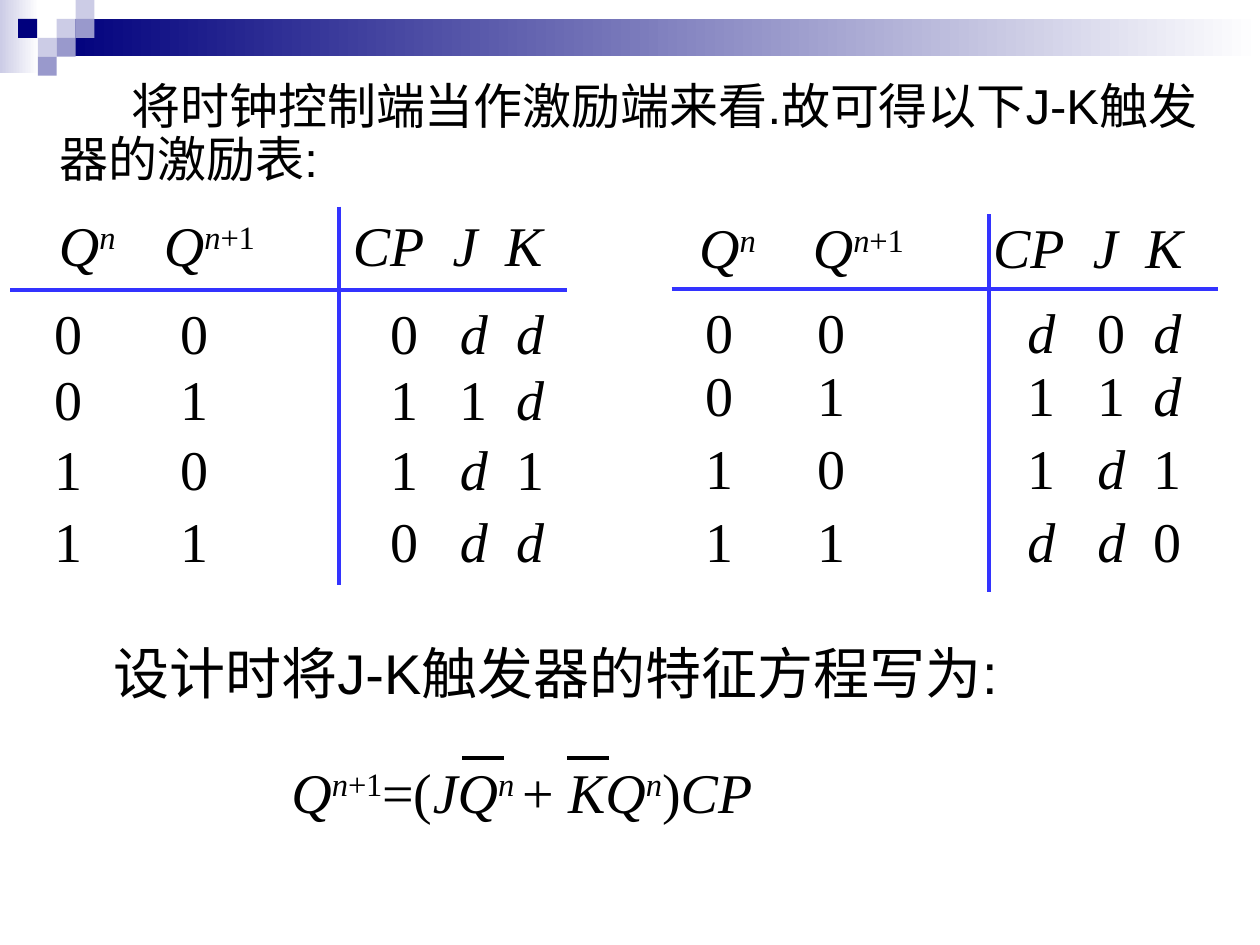
from lxml import etree
from pptx import Presentation
from pptx.dml.color import RGBColor
from pptx.enum.shapes import MSO_CONNECTOR, MSO_SHAPE
from pptx.oxml.ns import qn
from pptx.util import Pt

STRAIGHT = MSO_CONNECTOR.STRAIGHT
RECTANGLE = MSO_SHAPE.RECTANGLE
SANS, SERIF = "Arial", "Times New Roman"
BLACK, BLUE, NAVY = "000000", "3333FF", "00007D"
LAVENDER, VIOLET, WHITE = "CCCCE6", "9999CC", "FFFFFF"

# Header decoration: left, top, width, height, colours (two make a gradient)
TILE = 10.8
DECORATION = [
    (0, 0, 22.3, 41.8, (WHITE, LAVENDER)),
    (32.4, 10.8, 687.6, 21.4, (WHITE, NAVY)),
] + [
    (left, top, TILE, TILE, (color,))
    for left, top, color in [
        (32.4, 10.8, LAVENDER), (43.2, 0, LAVENDER), (43.2, 10.8, VIOLET),
        (21.6, 21.6, LAVENDER), (10.4, 10.8, NAVY), (32.4, 21.6, VIOLET),
        (21.6, 32.4, VIOLET),
    ]
]

INTRO = "将时钟控制端当作激励端来看.故可得以下J-K触发器的激励表:"
DESIGN = "设计时将J-K触发器的特征方程写为:"

# Runs are (text, style): i = italic, s = superscript
Q_NOW = [("Q", "i"), ("n", "is")]
Q_NEXT = [("Q", "i"), ("n", "is"), ("+1", "s")]
HEADINGS = [Q_NOW, Q_NEXT, [("CP", "i")], [("J", "i")], [("K", "i")]]
EQUATION = Q_NEXT + [("=(", ""), ("JQ", "i"), ("n ", "is"), ("+ ", ""),
                     ("KQ", "i"), ("n", "is"), (")", ""), ("CP", "i")]
OVERLINES = [(264.2, 288), (324, 347.8)]
OVERLINE_TOP = 433.4

# Excitation tables: Q now, Q next, CP, J, K
TABLES = [
    {
        "heading": (26.6, 116.6, [60, 168, 225, 255]),
        "left": 23.8, "tops": [167, 204.5, 244.8, 285.8],
        "tabs": [72, 192, 232, 264],
        "rows": ["000dd", "0111d", "101d1", "110dd"],
        "across": (5.8, 324, 165.6), "down": (193.7, 118.1, 334.1),
    },
    {
        "heading": (392.4, 118.1, [65, 168, 225, 255]),
        "left": 396, "tops": [166.3, 202.3, 244.1, 285.8],
        "tabs": [64, 184, 224, 256],
        "rows": ["00d0d", "0111d", "101d1", "11dd0"],
        "across": (383.8, 696.2, 164.9), "down": (565.2, 122.4, 338.4),
    },
]
TABLE_WIDTH, ROW_HEIGHT = 294, 46


def rgb(color):
    return RGBColor.from_string(color)


def add_block(page, left, top, width, height, colors):
    block = page.shapes.add_shape(RECTANGLE, Pt(left), Pt(top), Pt(width), Pt(height))
    block.shadow.inherit = False
    block.line.fill.background()
    if len(colors) == 1:
        block.fill.solid()
        block.fill.fore_color.rgb = rgb(colors[0])
        return
    block.fill.gradient()
    block.fill.gradient_angle = 180
    for stop, color in zip(block.fill.gradient_stops, colors):
        stop.color.rgb = rgb(color)


def add_line(page, x1, y1, x2, y2, color):
    line = page.shapes.add_connector(STRAIGHT, Pt(x1), Pt(y1), Pt(x2), Pt(y2))
    line.line.color.rgb = rgb(color)
    line.line.width = Pt(2.25)
    etree.SubElement(line._element.spPr, qn("a:effectLst"))


def add_text(page, left, top, width, height, runs, font=SERIF, size=32, tabs=()):
    box = page.shapes.add_textbox(Pt(left), Pt(top), Pt(width), Pt(height))
    frame = box.text_frame
    frame.word_wrap = True
    frame.margin_right = 0
    para = frame.paragraphs[0]
    if tabs:
        stops = etree.SubElement(para._p.get_or_add_pPr(), qn("a:tabLst"))
        for position in tabs:
            etree.SubElement(stops, qn("a:tab"), pos=str(Pt(position)), algn="l")
    for text, style in runs:
        span = para.add_run()
        span.text = text
        span.font.name = font
        span.font.size = Pt(size)
        span.font.color.rgb = rgb(BLACK)
        span.font.italic = "i" in style
        if "s" in style:
            span._r.get_or_add_rPr().set("baseline", "30000")
    return para


def add_row(page, left, top, cells, tabs):
    """Set one table row, with a tab before each cell but the first."""
    runs = list(cells[0])
    for (text, style), *rest in cells[1:]:
        runs += [("\t" + text, style), *rest]
    add_text(page, left, top, TABLE_WIDTH, ROW_HEIGHT, runs, tabs=tabs)


def add_table_lines(page, across, down):
    start, end, y = across
    add_line(page, start, y, end, y, BLUE)
    x, start, end = down
    add_line(page, x, start, x, end, BLUE)


def set_indent(para, left, first):
    properties = para._p.get_or_add_pPr()
    properties.set("marL", str(Pt(left)))
    properties.set("indent", str(Pt(first)))


def main():
    deck = Presentation()
    deck.slide_width, deck.slide_height = Pt(720), Pt(540)
    page = deck.slides.add_slide(deck.slide_layouts[6])

    for block in DECORATION:
        add_block(page, *block)

    # Introduction
    intro = add_text(page, 0, 43.2, 702, 73.4, [(INTRO, "")], SANS, 28)
    intro.line_spacing = 0.9
    set_indent(intro, 27, 41)

    # Excitation tables
    for table in TABLES:
        add_table_lines(page, table["across"], table["down"])
        left, top, tabs = table["heading"]
        add_row(page, left, top, HEADINGS, tabs)
        for top, values in zip(table["tops"], table["rows"]):
            cells = [[(value, "i" if value == "d" else "")] for value in values]
            add_row(page, table["left"], top, cells, table["tabs"])

    # Characteristic equation
    add_text(page, 57.6, 361.4, 543, 130.3, [(DESIGN, "")], SANS)
    equation = add_text(page, 135.4, 429.1, 301.7, ROW_HEIGHT, EQUATION)
    set_indent(equation, 24, 0)
    for start, end in OVERLINES:
        add_line(page, start, OVERLINE_TOP, end, OVERLINE_TOP, BLACK)

    deck.save("out.pptx")


if __name__ == "__main__":
    main()
